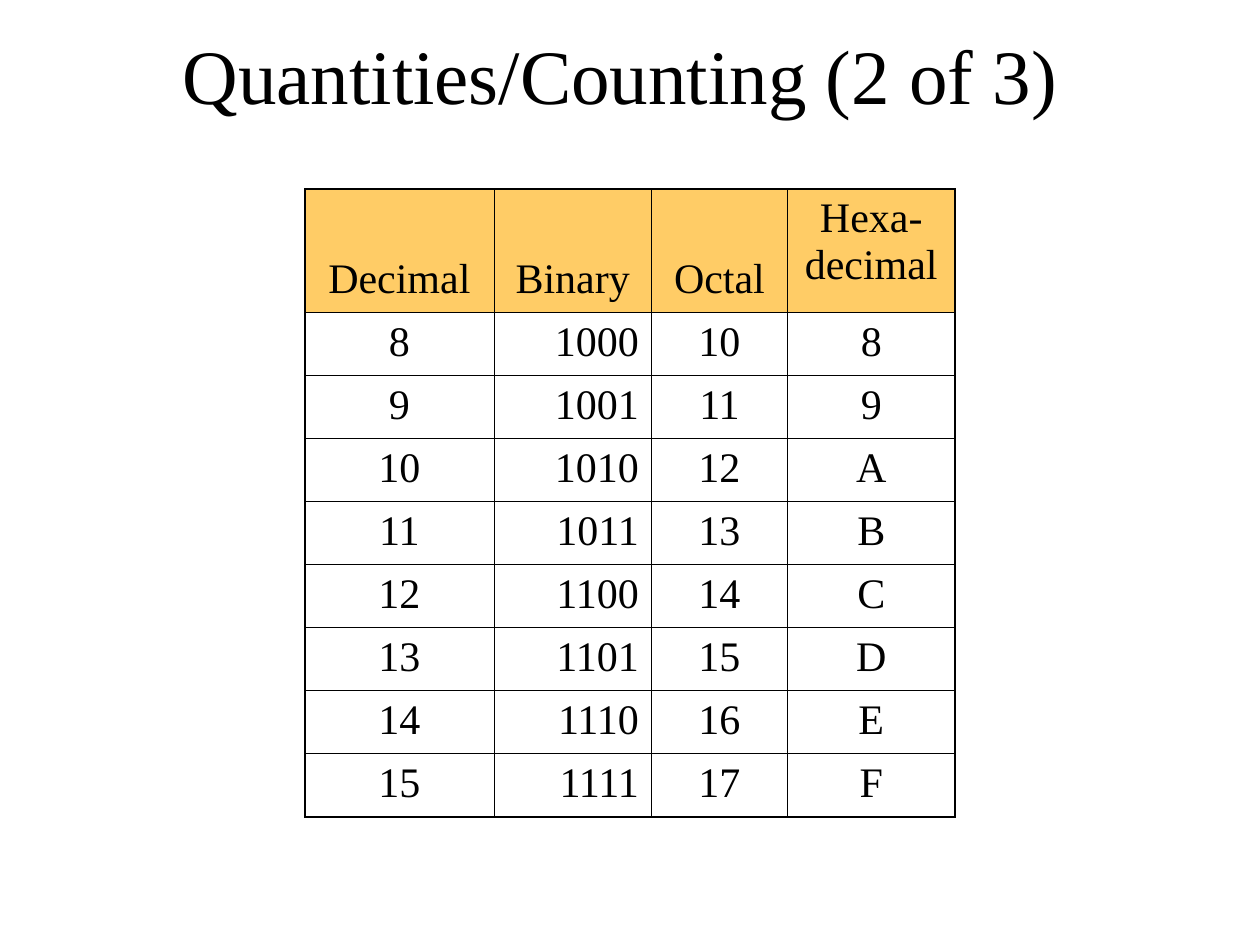
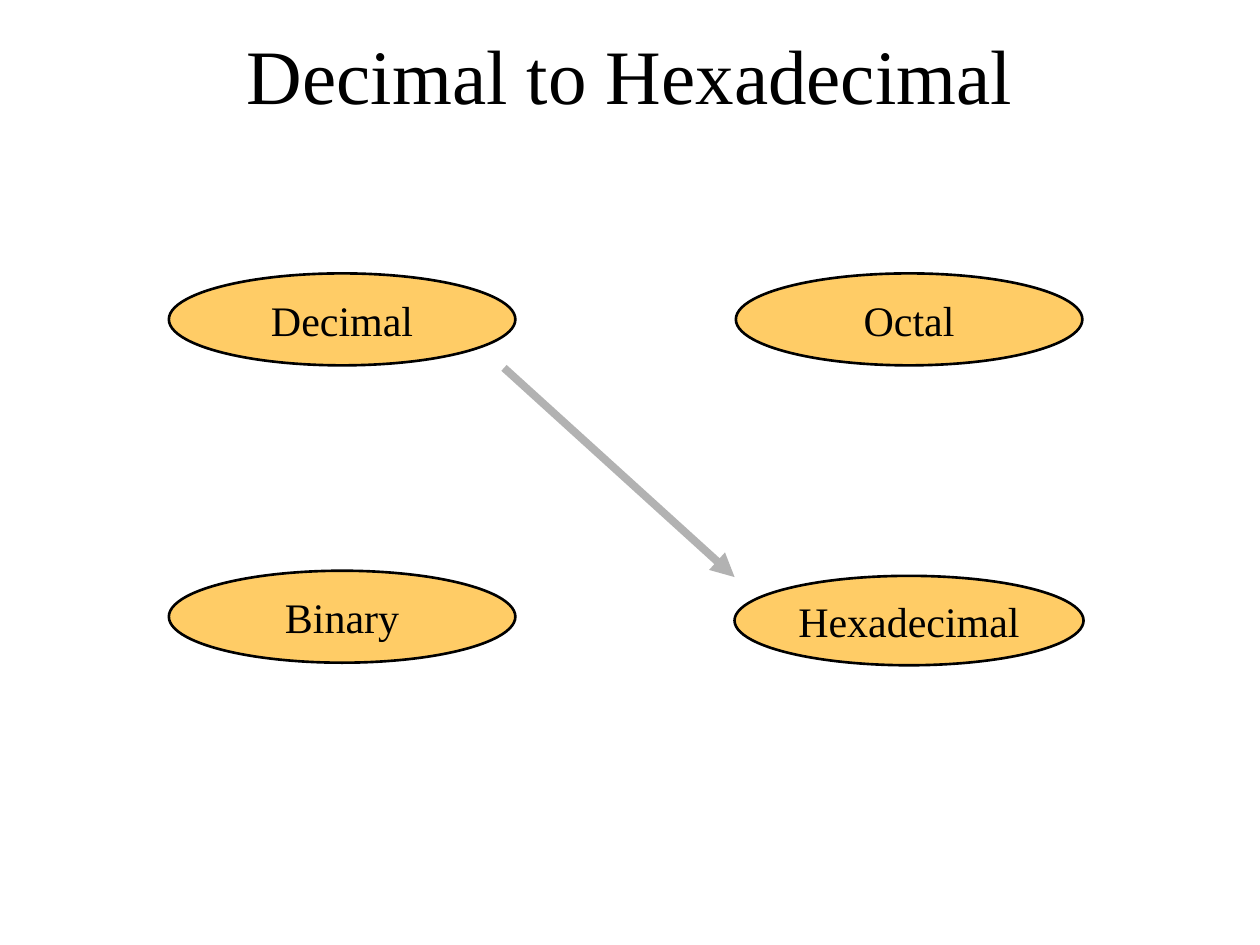
"""Build two slides on number bases: a counting table and a conversion map."""
from lxml import etree
from pptx import Presentation
from pptx.dml.color import RGBColor
from pptx.enum.shapes import MSO_CONNECTOR, MSO_SHAPE
from pptx.enum.text import MSO_ANCHOR, PP_ALIGN
from pptx.oxml.ns import qn
from pptx.util import Inches, Pt

BLACK = RGBColor(0x00, 0x00, 0x00)
AMBER = RGBColor(0xFF, 0xCC, 0x66)
GREY = RGBColor(0xB2, 0xB2, 0xB2)
CENTER, RIGHT = PP_ALIGN.CENTER, PP_ALIGN.RIGHT
TOP, MIDDLE, BOTTOM = MSO_ANCHOR.TOP, MSO_ANCHOR.MIDDLE, MSO_ANCHOR.BOTTOM
OVAL, LINE = MSO_SHAPE.OVAL, MSO_CONNECTOR.STRAIGHT
THIN, THICK = Pt(0.45), Pt(1.08)


def write(frame, text, size, align=CENTER):
    frame.text = text
    para = frame.paragraphs[0]
    para.alignment = align
    for key, value in {"name": "Times New Roman", "size": Pt(size)}.items():
        setattr(para.font, key, value)
    para.font.color.rgb = BLACK


def edge(cell, side, width):
    line = etree.SubElement(cell._tc.get_or_add_tcPr(), qn("a:ln" + side), w=str(int(width)))
    fill = etree.SubElement(line, qn("a:solidFill"))
    etree.SubElement(fill, qn("a:srgbClr"), val=str(BLACK))


deck = Presentation()
deck.slide_width, deck.slide_height = Inches(10), Inches(7.5)

slides = []
for title in ("Quantities/Counting (2 of 3) ", "Decimal to Hexadecimal"):
    slide = deck.slides.add_slide(deck.slide_layouts[6])
    frame = slide.shapes.add_textbox(
        Inches(0.75), Inches(0.17), Inches(8.5), Inches(0.83)).text_frame
    frame.word_wrap = True
    frame.vertical_anchor = MIDDLE
    write(frame, title, 44)
    slides.append(slide)
count, chart = slides

rows = [("Decimal", "Binary", "Octal", "Hexa-\vdecimal")]
rows += [tuple(format(num, base) for base in "dboX") for num in range(8, 16)]
widths = (1.5, 1.25, 1.08, 1.33)
heights = [0.98] + [0.5] * 8
table = count.shapes.add_table(
    len(rows), len(widths), Inches(2.42), Inches(1.5),
    Inches(sum(widths)), Inches(sum(heights))).table
table.first_row = table.horz_banding = False
for col, width in zip(table.columns, widths):
    col.width = Inches(width)
for row, height in zip(table.rows, heights):
    row.height = Inches(height)

for r, row in enumerate(rows):
    for c, text in enumerate(row):
        cell = table.cell(r, c)
        head = r == 0
        write(cell.text_frame, text, 24, RIGHT if c == 1 and not head else CENTER)
        low = head and c < 3
        cell.vertical_anchor = BOTTOM if low else TOP
        cell.margin_bottom = Inches(0.08 if low else 0.05)
        outer = {"L": c == 0, "R": c == len(widths) - 1, "T": head, "B": r == len(rows) - 1}
        for side, thick in outer.items():
            edge(cell, side, THICK if thick else THIN)
        if head:
            cell.fill.solid()
            cell.fill.fore_color.rgb = AMBER
        else:
            cell.fill.background()

ovals = {
    "Hexadecimal": (5.83, 4.57, 2.77, 0.71),
    "Decimal": (1.34, 2.17, 2.75, 0.73),
    "Octal": (5.84, 2.17, 2.75, 0.73),
    "Binary": (1.34, 4.53, 2.75, 0.73),
}
for name, box in ovals.items():
    oval = chart.shapes.add_shape(OVAL, *map(Inches, box))
    oval.shadow.inherit = False
    oval.fill.solid()
    oval.fill.fore_color.rgb = AMBER
    oval.line.color.rgb = BLACK
    oval.line.width = Pt(1.5)
    frame = oval.text_frame
    frame.word_wrap = False
    frame.vertical_anchor = MIDDLE
    write(frame, name, 24)

arrow = chart.shapes.add_connector(LINE, *map(Inches, (4, 2.92, 5.83, 4.58)))
arrow.line.color.rgb = GREY
arrow.line.width = Pt(4.5)
etree.SubElement(arrow.line._get_or_add_ln(), qn("a:tailEnd"), type="triangle")
etree.SubElement(arrow._element.spPr, qn("a:effectLst"))

deck.save("out.pptx")
